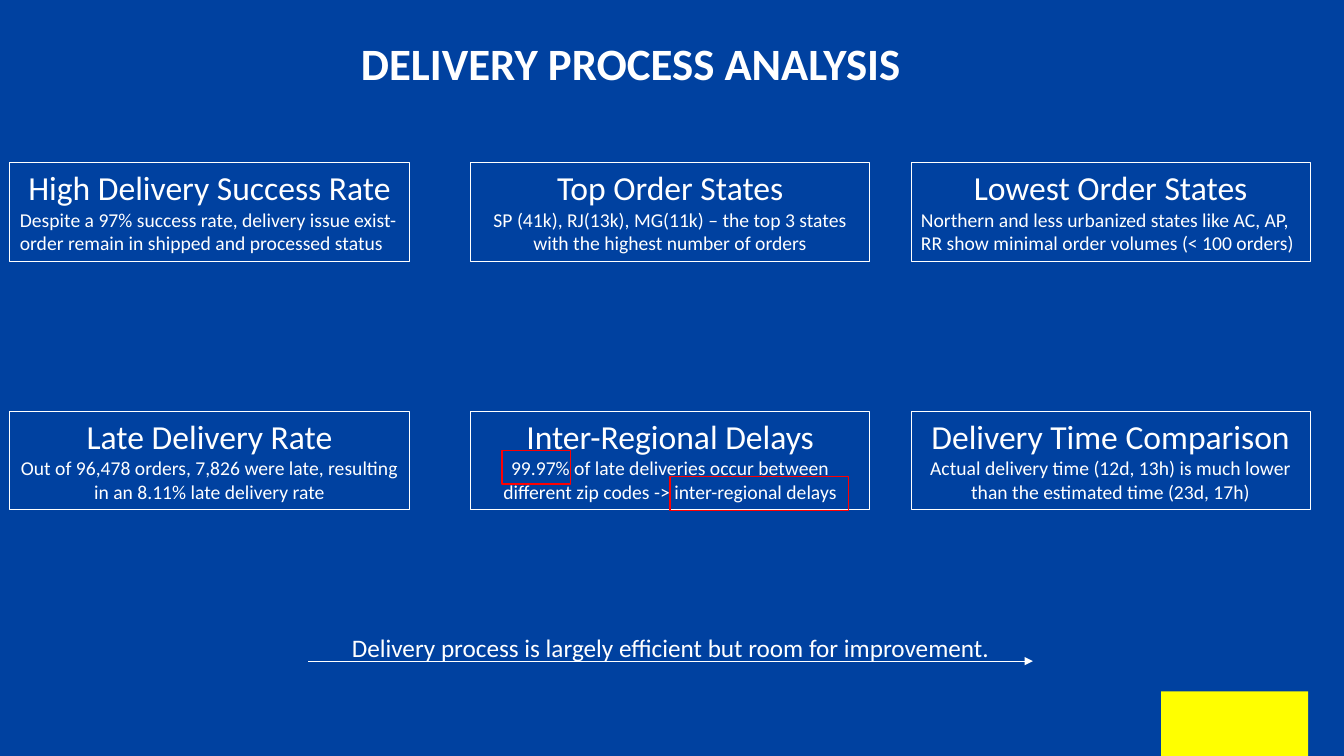
from lxml.etree import SubElement
from pptx import Presentation
from pptx.dml.color import RGBColor
from pptx.enum.shapes import MSO_CONNECTOR, MSO_SHAPE
from pptx.enum.text import MSO_ANCHOR, MSO_AUTO_SIZE, PP_ALIGN
from pptx.oxml.ns import qn
from pptx.util import Cm, Pt

WHITE, RED, YELLOW, BLUE = "FFFFFF", "FF0000", "FFFF00", "0041A0"


def write(frame, text, size=14, bold=False, align=PP_ALIGN.CENTER, more=False):
    frame.word_wrap = True
    frame.auto_size = MSO_AUTO_SIZE.NONE
    para = frame.add_paragraph() if more else frame.paragraphs[0]
    para.alignment = align
    run = para.add_run()
    run.text = text
    run.font.name = "Calibri"
    run.font.size = Pt(size)
    run.font.bold = bold
    run.font.color.rgb = RGBColor.from_string(WHITE)


def add_box(left, top, width, height, fill=None, line=None, weight=0.75):
    box = slide.shapes.add_shape(
        MSO_SHAPE.RECTANGLE, Cm(left), Cm(top), Cm(width), Cm(height))
    box.shadow.inherit = False
    if fill:
        box.fill.solid()
        box.fill.fore_color.rgb = RGBColor.from_string(fill)
    else:
        box.fill.background()
    if line:
        box.line.color.rgb = RGBColor.from_string(line)
        box.line.width = Pt(weight)
    else:
        box.line.fill.background()
    return box


deck = Presentation()
deck.slide_width, deck.slide_height = Cm(33.87), Cm(19.05)
slide = deck.slides.add_slide(deck.slide_layouts[5])
slide.background.fill.solid()
slide.background.fill.fore_color.rgb = RGBColor.from_string(BLUE)

# Title
title = slide.shapes.title
title.left, title.top, title.width, title.height = Cm(8.43), Cm(0.76), Cm(14.94), Cm(1.63)
title.text_frame.vertical_anchor = MSO_ANCHOR.TOP
write(title.text_frame, "DELIVERY PROCESS ANALYSIS", size=32, bold=True)

# Corner block
add_box(29.26, 17.42, 3.71, 1.63, fill=YELLOW)

# Findings, three to a row
lefts = [0.25, 11.86, 22.96]
tops = [4.09, 10.36]
cards = [
    ("High Delivery Success Rate", "Despite a 97% success rate, delivery issue exist-order "
     "remain in shipped and processed status", PP_ALIGN.LEFT),
    ("Top Order States", "SP (41k), RJ(13k), MG(11k) – the top 3 states "
     "with the highest number of orders", PP_ALIGN.CENTER),
    ("Lowest Order States", "Northern and less urbanized states like AC, AP, "
     "RR show minimal order volumes (< 100 orders)", PP_ALIGN.LEFT),
    ("Late Delivery Rate", "Out of 96,478 orders, 7,826 were late, "
     "resulting in an 8.11% late delivery rate", PP_ALIGN.CENTER),
    ("Inter-Regional Delays", "99.97% of late deliveries occur between "
     "different zip codes -> inter-regional delays", PP_ALIGN.CENTER),
    ("Delivery Time Comparison", "Actual delivery time (12d, 13h) is much lower "
     "than the estimated time (23d, 17h)", PP_ALIGN.CENTER),
]
for i, (head, body, align) in enumerate(cards):
    card = add_box(lefts[i % 3], tops[i // 3], 10.06, 2.49, line=WHITE)
    card.text_frame.vertical_anchor = MSO_ANCHOR.TOP
    write(card.text_frame, head, size=24)
    write(card.text_frame, body, align=align, more=True)

# Closing line
note = slide.shapes.add_textbox(Cm(7.77), Cm(15.82), Cm(18.26), Cm(1.03))
write(note.text_frame, "Delivery process is largely efficient but room for improvement.", size=18)

# Arrow below it
arrow = slide.shapes.add_connector(
    MSO_CONNECTOR.STRAIGHT, Cm(7.77), Cm(16.66), Cm(26.03), Cm(16.66))
arrow.line.color.rgb = RGBColor.from_string(WHITE)
arrow.line.width = Pt(0.5)
SubElement(arrow.line._get_or_add_ln(), qn("a:tailEnd"), type="triangle")
SubElement(arrow._element.spPr, qn("a:effectLst"))

# Red marks on the key words
for left, top, width in [(16.89, 12.01, 4.5), (12.65, 11.35, 1.73)]:
    add_box(left, top, width, 0.85, line=RED, weight=1)

deck.save("out.pptx")
